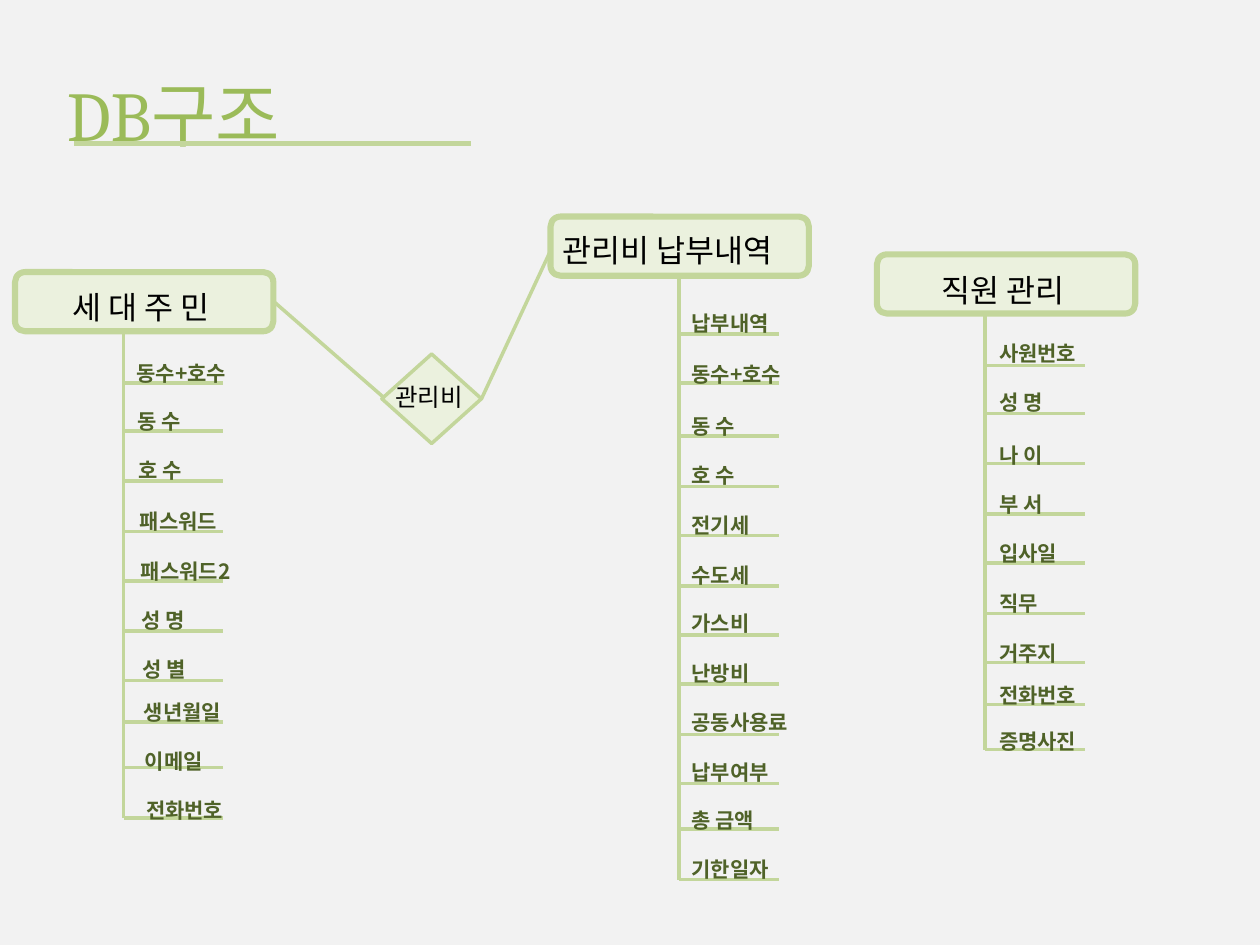
from lxml import etree
from pptx import Presentation
from pptx.dml.color import RGBColor
from pptx.enum.shapes import MSO_CONNECTOR, MSO_SHAPE
from pptx.enum.text import MSO_ANCHOR, PP_ALIGN
from pptx.oxml.ns import qn
from pptx.util import Pt

STRAIGHT = MSO_CONNECTOR.STRAIGHT
ROUNDED, DIAMOND = MSO_SHAPE.ROUNDED_RECTANGLE, MSO_SHAPE.DIAMOND
LEFT, CENTER, TOP = PP_ALIGN.LEFT, PP_ALIGN.CENTER, MSO_ANCHOR.TOP

BACKGROUND = RGBColor(0xF2, 0xF2, 0xF2)
TITLE_GREEN = RGBColor(0x9B, 0xBB, 0x59)
LINE_GREEN = RGBColor(0xC3, 0xD6, 0x9B)
FILL_GREEN = RGBColor(0xEB, 0xF1, 0xDE)
TEXT_GREEN = RGBColor(0x4F, 0x62, 0x28)
BLACK = RGBColor(0, 0, 0)

KOREAN_FONT = "Noto Sans CJK KR"
TITLE_FORMAT = {"name": "Cambria", "size": Pt(40), "bold": False}
HEADING_FORMAT = {"name": KOREAN_FONT, "size": Pt(18), "bold": False}
RELATION_FORMAT = {"name": KOREAN_FONT, "size": Pt(14), "bold": False}
FIELD_FORMAT = {"name": KOREAN_FONT, "size": Pt(12), "bold": True}

BOX_WIDTH, BOX_HEIGHT = 147.6, 33.8
BRANCH_LENGTH = 56.9

# Each field: label, top of its text, height of its branch line
ENTITIES = [
    {
        "heading": "관리비 납부내역", "align": LEFT,
        "box": (314.6, 123.8), "heading_at": (314.6, 128.2, 158.4, 28.8),
        "trunk": 388.1, "field_left": 388.1, "drift": 0,
        "fields": [
            ("납부내역", 174.2, 190.8), ("동수+호수", 203, 218.9),
            ("동 수", 232.6, 249.1), ("호 수", 260.6, 277.9),
            ("전기세", 289.4, 306), ("수도세", 318.2, 334.8),
            ("가스비", 345.6, 362.9), ("난방비", 373.7, 391),
            ("공동사용료", 401.8, 419.8), ("납부여부", 430.6, 447.8),
            ("총 금액", 457.9, 473.8), ("기한일자", 486, 502.6),
        ],
    },
    {
        "heading": "세 대 주 민 ", "align": CENTER,
        "box": (8.6, 155.5), "heading_at": (14.4, 161.3, 136.1, 28.8),
        "trunk": 70.6, "field_left": 71, "drift": 0.6,
        "fields": [
            ("동수+호수", 202.3, 218.9), ("동 수", 229.7, 246.2),
            ("호 수", 257.8, 275), ("패스워드", 287.3, 303.8),
            ("패스워드2", 315.4, 331.9), ("성 명", 343.4, 360.7),
            ("성 별", 371.5, 388.8), ("생년월일", 396, 412.6),
            ("이메일", 424.1, 438.5), ("전화번호", 452.2, 467.3),
        ],
    },
    {
        "heading": "직원 관리 ", "align": CENTER,
        "box": (501.1, 145.4), "heading_at": (506.9, 151.2, 136.1, 28.8),
        "trunk": 563, "field_left": 563.8, "drift": 0,
        "fields": [
            ("사원번호", 190.8, 208.8), ("성 명", 218.9, 236.2),
            ("나 이", 249.1, 265), ("부 서", 277.2, 293.8),
            ("입사일", 305.3, 321.8), ("직무", 334.1, 350.6),
            ("거주지", 362.2, 378.7), ("전화번호", 386.6, 402.5),
            ("증명사진", 412.6, 428.4),
        ],
    },
]

presentation = Presentation()
presentation.slide_width, presentation.slide_height = Pt(720), Pt(540)
slide = presentation.slides.add_slide(presentation.slide_layouts[5])
slide.background.fill.solid()
slide.background.fill.fore_color.rgb = BACKGROUND


def add_line(start, end, width=2):
    line = slide.shapes.add_connector(STRAIGHT, *[Pt(value) for value in start + end])
    line.line.color.rgb = LINE_GREEN
    line.line.width = Pt(width)
    etree.SubElement(line._element.spPr, qn("a:effectLst"))


def write_text(shape, text, text_format, color, align=LEFT):
    frame = shape.text_frame
    frame.word_wrap = True
    frame.vertical_anchor = TOP
    paragraph = frame.paragraphs[0]
    paragraph.alignment = align
    run = paragraph.add_run()
    run.text = text
    for name, value in text_format.items():
        setattr(run.font, name, value)
    run.font.color.rgb = color
    east_asian = etree.SubElement(run._r.get_or_add_rPr(), qn("a:ea"))
    east_asian.set("typeface", KOREAN_FONT)


# Title and its underline
add_line((42.5, 82.1), (269.3, 82.1), 2.5)
title = slide.shapes.title
title.left, title.top, title.width, title.height = Pt(31), Pt(37.4), Pt(294.5), Pt(55.4)
write_text(title, "DB구조", TITLE_FORMAT, TITLE_GREEN)

# Entity boxes and the relation diamond
outlines = [(ROUNDED, (*entity["box"], BOX_WIDTH, BOX_HEIGHT), 3.5) for entity in ENTITIES]
outlines.append((DIAMOND, (218.2, 202.3, 56.9, 51.1), 2))
for kind, place, width in outlines:
    shape = slide.shapes.add_shape(kind, *[Pt(value) for value in place])
    shape.shadow.inherit = False
    shape.fill.solid()
    shape.fill.fore_color.rgb = FILL_GREEN
    shape.line.color.rgb = LINE_GREEN
    shape.line.width = Pt(width)

# Headings, trunks and fields of each entity
for entity in ENTITIES:
    trunk, fields = entity["trunk"], entity["fields"]
    add_line((trunk, entity["box"][1] + BOX_HEIGHT), (trunk, fields[-1][2]))
    heading = slide.shapes.add_textbox(*[Pt(value) for value in entity["heading_at"]])
    write_text(heading, entity["heading"], HEADING_FORMAT, BLACK, entity["align"])
    for _, _, branch in fields:
        add_line((trunk, branch), (trunk + BRANCH_LENGTH, branch))
    for index, (label, top, _) in enumerate(fields):
        left = entity["field_left"] + index * entity["drift"]
        field = slide.shapes.add_textbox(Pt(left), Pt(top), Pt(90.7), Pt(21.6))
        write_text(field, label, FIELD_FORMAT, TEXT_GREEN)

# Relation between residents and payments
relation = slide.shapes.add_textbox(Pt(218.9), Pt(214.6), Pt(67.7), Pt(24.5))
write_text(relation, "관리비", RELATION_FORMAT, BLACK)
add_line((156.2, 172.1), (218.9, 226.8))
add_line((314.6, 143.3), (275, 228.2))

presentation.save("out.pptx")
